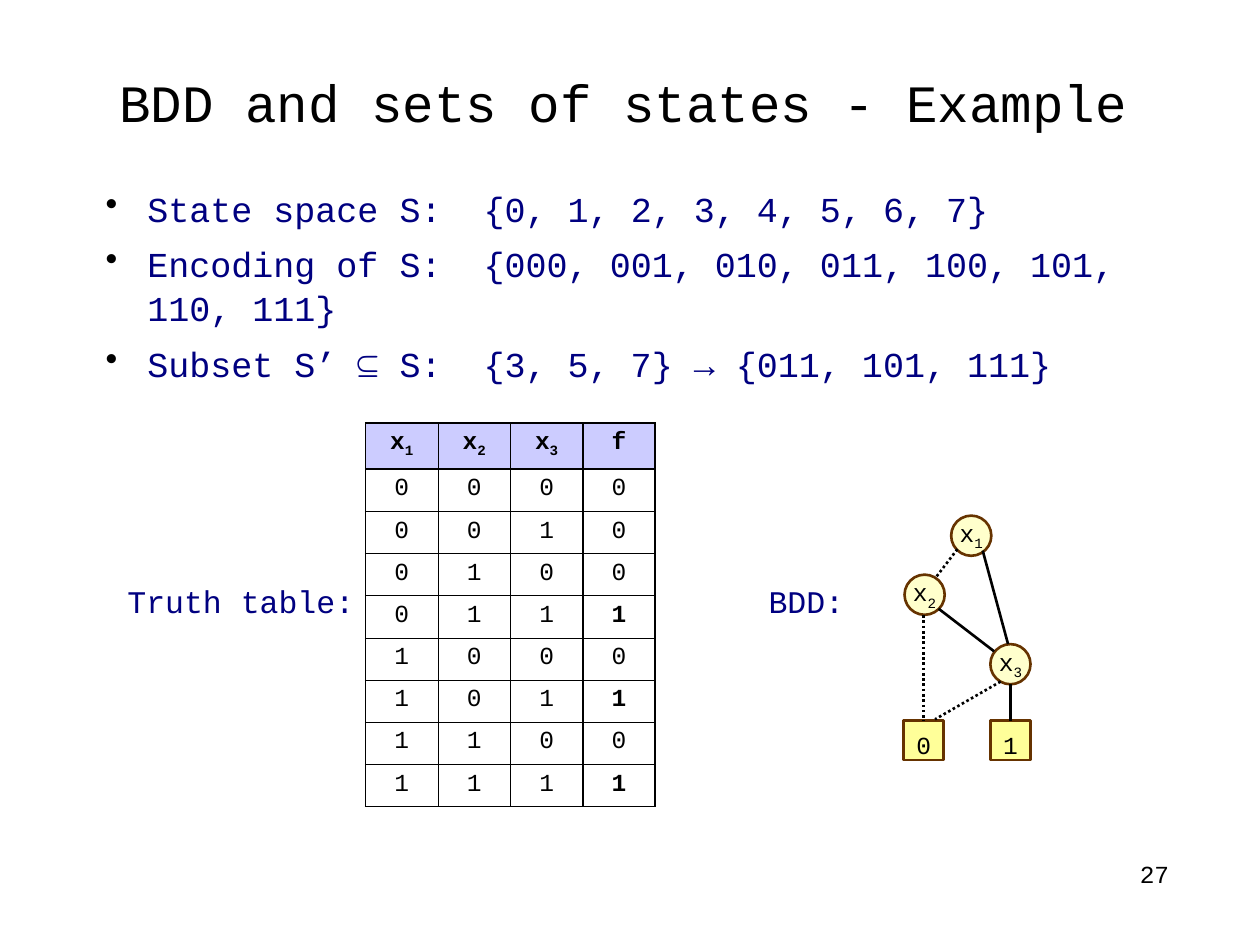
from dataclasses import dataclass

from lxml.etree import SubElement
from pptx import Presentation
from pptx.dml.color import RGBColor
from pptx.enum.dml import MSO_LINE
from pptx.enum.shapes import MSO_CONNECTOR, MSO_SHAPE
from pptx.enum.text import MSO_ANCHOR, PP_ALIGN
from pptx.oxml.ns import qn
from pptx.util import Cm, Pt


@dataclass(frozen=True)
class Theme:
    font: str = "Courier New"
    black: str = "000000"
    navy: str = "000080"
    outline: str = "663300"
    variable: str = "FFFFCC"
    terminal: str = "FFFF99"
    header: str = "CCCCFF"
    title_size: int = 30
    body_size: int = 20
    caption_size: int = 18
    small_size: int = 14
    stroke: float = 1.5
    thin: float = 0.45
    thick: float = 1.08


class SlideBuilder:
    def __init__(self, slide, theme):
        self.slide = slide
        self.theme = theme
        self.shapes = slide.shapes

    def start_group(self):
        self.shapes = self.slide.shapes.add_group_shape().shapes

    def end_group(self):
        self.shapes = self.slide.shapes

    def style(self, paragraph, size, color, align=PP_ALIGN.CENTER, spacing=None, bold=False):
        paragraph.alignment = align
        paragraph.line_spacing = spacing
        font = paragraph.font
        font.name = self.theme.font
        font.size = Pt(size)
        font.bold = bold
        font.color.rgb = RGBColor.from_string(color)

    def symbol(self, paragraph, text, bold=False):
        """Write a symbol such as x1 with its index lowered."""
        base, index = (text[0], text[1:])
        paragraph.add_run().text = base
        if index:
            lowered = paragraph.add_run()
            lowered.text = index
            lowered.font._element.set("baseline", "-25000")
        self.style(paragraph, self.theme.small_size, self.theme.black, bold=bold)

    def frame(self, box, inset_x=0.0, inset_y=0.0, wrap=True):
        holder = self.shapes.add_textbox(*map(Cm, box)).text_frame
        holder.word_wrap = wrap
        holder.margin_left = holder.margin_right = Cm(inset_x)
        holder.margin_top = holder.margin_bottom = Cm(inset_y)
        return holder

    def title(self, text, box):
        heading = self.slide.shapes.title
        heading.left, heading.top, heading.width, heading.height = map(Cm, box)
        holder = heading.text_frame
        holder.text = text
        holder.vertical_anchor = MSO_ANCHOR.MIDDLE
        holder.margin_left = holder.margin_right = 0
        holder.margin_top = holder.margin_bottom = 0
        self.style(holder.paragraphs[0], self.theme.title_size, self.theme.black, spacing=1.04)

    def bullets(self, items, box):
        holder = self.frame(box)
        for number, item in enumerate(items):
            paragraph = holder.add_paragraph() if number else holder.paragraphs[0]
            paragraph.text = item
            if number:
                paragraph.space_before = Pt(6)
            properties = paragraph._p.get_or_add_pPr()
            properties.set("marL", str(Cm(1.12)))
            properties.set("indent", str(Cm(-0.84)))
            color = SubElement(properties, qn("a:buClr"))
            SubElement(color, qn("a:srgbClr"), val=self.theme.black)
            SubElement(properties, qn("a:buChar"), char="•")
            self.style(paragraph, self.theme.body_size, self.theme.navy, PP_ALIGN.LEFT, 1.06)

    def caption(self, text, box):
        paragraph = self.frame(box, 0.25, 0.13).paragraphs[0]
        paragraph.text = text
        self.style(paragraph, self.theme.caption_size, self.theme.navy, spacing=0.82)

    def page_number(self, text, box):
        paragraph = self.frame(box).paragraphs[0]
        paragraph.text = text
        self.style(paragraph, self.theme.small_size, self.theme.black, PP_ALIGN.RIGHT, 0.96)

    def border(self, cell, side, width):
        line = SubElement(cell._tc.get_or_add_tcPr(), qn(f"a:ln{side}"), w=str(Pt(width)))
        fill = SubElement(line, qn("a:solidFill"))
        SubElement(fill, qn("a:srgbClr"), val=self.theme.black)

    def truth_table(self, rows, left, top, column_width, header_height, row_height):
        """Draw the table with heavy rules around it, the header and the result column."""
        theme, last_row, last_column = self.theme, len(rows) - 1, len(rows[0]) - 1
        table = self.shapes.add_table(
            len(rows), len(rows[0]), Cm(left), Cm(top), Cm(column_width * len(rows[0])),
            Cm(header_height + row_height * last_row)).table
        table.first_row = table.horz_banding = False
        for column in table.columns:
            column.width = Cm(column_width)
        for r, values in enumerate(rows):
            table.rows[r].height = Cm(row_height if r else header_height)
            for c, value in enumerate(values):
                cell = table.cell(r, c)
                heavy = {"L": c in (0, last_column), "R": c >= last_column - 1,
                         "T": r <= 1, "B": r in (0, last_row)}
                for side, is_heavy in heavy.items():
                    self.border(cell, side, theme.thick if is_heavy else theme.thin)
                if r == 0:
                    cell.fill.solid()
                    cell.fill.fore_color.rgb = RGBColor.from_string(theme.header)
                else:
                    cell.fill.background()
                is_true = c == last_column and value == "1"
                self.symbol(cell.text_frame.paragraphs[0], value, bold=r == 0 or is_true)

    def outlined(self, kind, box, color):
        node = self.shapes.add_shape(kind, *map(Cm, box))
        node.shadow.inherit = False
        node.fill.solid()
        node.fill.fore_color.rgb = RGBColor.from_string(color)
        node.line.color.rgb = RGBColor.from_string(self.theme.outline)
        node.line.width = Pt(self.theme.stroke)
        return node

    def node_label(self, text, box):
        self.symbol(self.frame(box, 0.25, 0.13, wrap=False).paragraphs[0], text)

    def variable(self, name, x, y, size=0.81):
        """Draw a decision node centred on x, y."""
        self.outlined(MSO_SHAPE.OVAL, (x - size / 2, y - size / 2, size, size), self.theme.variable)
        self.node_label(name, (x - 0.7, y - 0.48, 1.4, 0.94))

    def terminal(self, value, x, top, width=0.81):
        left = x - width / 2
        node = self.outlined(MSO_SHAPE.RECTANGLE, (left, top, width, 0.79), self.theme.terminal)
        self.node_label(value, (left, top + 0.05, width, 0.86))
        return node

    def branch(self, start, end, value, target=None):
        """Draw a branch, dotted for value 0, joined to the top of target if given."""
        line = self.shapes.add_connector(MSO_CONNECTOR.STRAIGHT, *map(Cm, start + end))
        if target is not None:
            line.end_connect(target, 0)
        line.line.color.rgb = RGBColor.from_string(self.theme.black)
        line.line.width = Pt(self.theme.stroke)
        if value == 0:
            line.line.dash_style = MSO_LINE.ROUND_DOT
        SubElement(line._element.spPr, qn("a:effectLst"))


def main():
    presentation = Presentation()
    presentation.slide_width, presentation.slide_height = Cm(25.4), Cm(19.05)
    page = SlideBuilder(presentation.slides.add_slide(presentation.slide_layouts[5]), Theme())

    page.title("BDD and sets of states - Example", (1.73, 0.94, 21.67, 2.18))
    page.bullets([
        "State space S:  {0, 1, 2, 3, 4, 5, 6, 7}",
        "Encoding of S:  {000, 001, 010, 011, 100, 101, 110, 111}",
        "Subset S’ ⊆ S:  {3, 5, 7} → {011, 101, 111}",
    ], (1.85, 3.73, 21.67, 13.21))

    subset = {3, 5, 7}
    states = [[*f"{state:03b}", str(int(state in subset))] for state in range(8)]
    page.truth_table([["x1", "x2", "x3", "f"], *states], 7.37, 8.53, 1.46, 0.93, 0.85)

    page.start_group()
    for name, x, y in (("x1", 19.58, 10.8), ("x2", 18.64, 11.99), ("x3", 20.37, 13.39)):
        page.variable(name, x, y)
    terminal_top = 14.53
    zero = page.terminal("0", 18.62, terminal_top)
    one = page.terminal("1", 20.37, terminal_top)
    page.branch((19.3, 11.07), (18.85, 11.66), 0)
    page.branch((19.81, 11.1), (20.32, 12.98), 1)
    page.branch((18.62, 12.4), (18.62, terminal_top), 0, zero)
    page.branch((18.92, 12.27), (20.04, 13.13), 1)
    page.branch((20.17, 13.74), (18.85, 14.5), 0)
    page.branch((20.37, 13.79), (20.37, terminal_top), 1, one)
    page.end_group()

    for text, left in (("Truth table:", 1.96), ("BDD:", 13.36)):
        page.caption(text, (left, 11.73, 5.79, 0.89))
    page.page_number("27", (19.48, 17.35, 4.09, 1.32))
    presentation.save("out.pptx")


if __name__ == "__main__":
    main()
